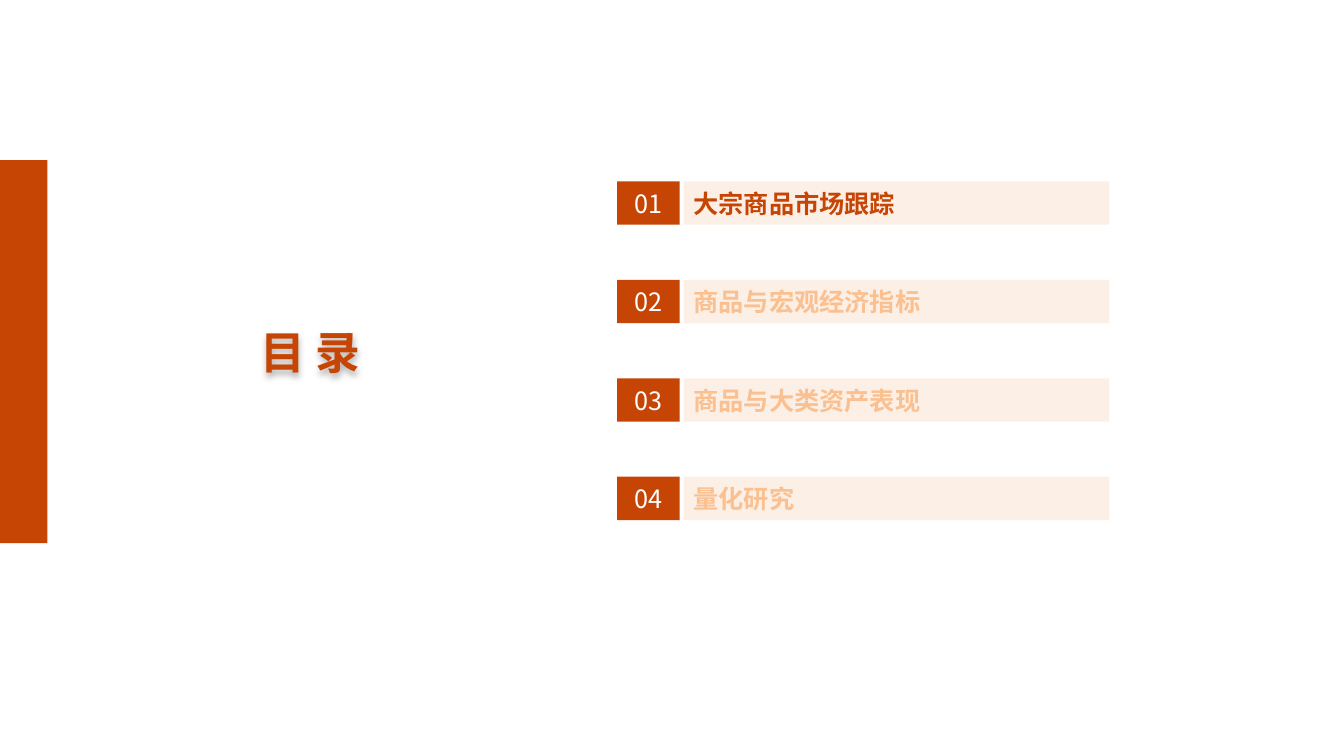
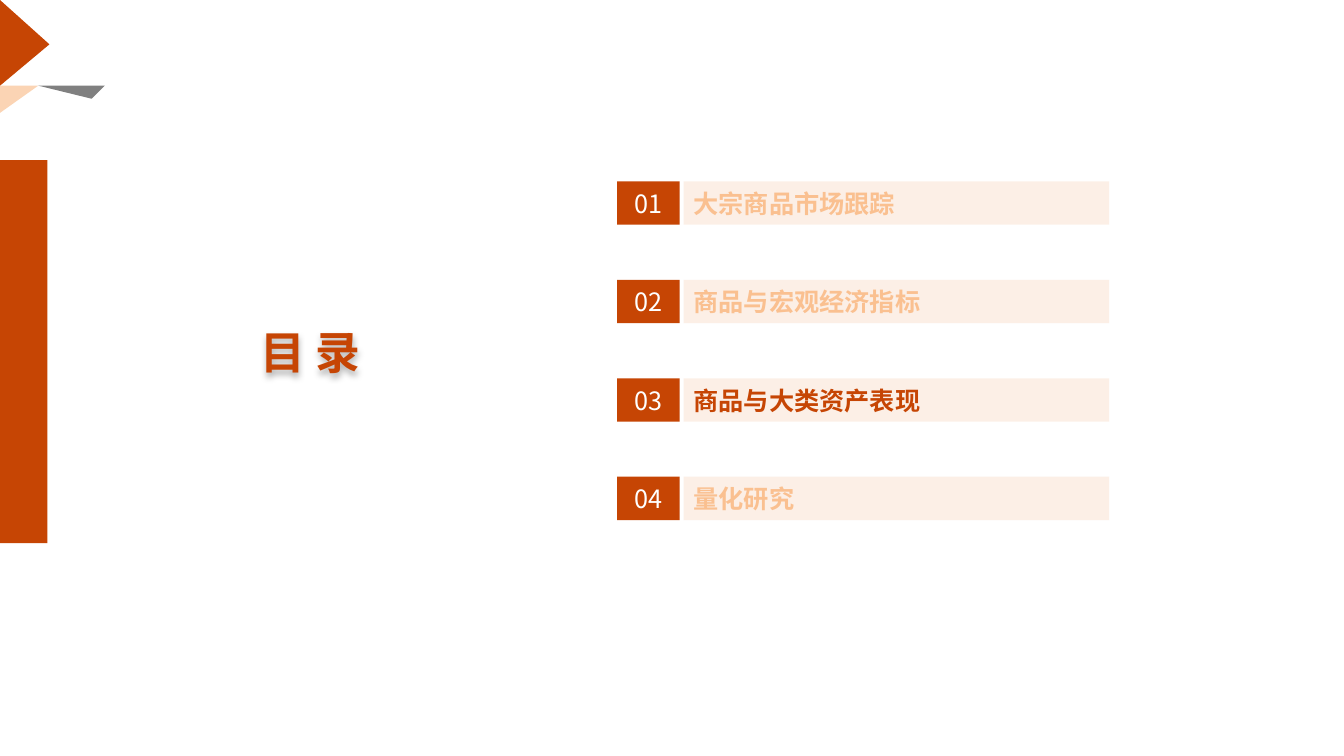
from lxml import etree
from pptx import Presentation
from pptx.dml.color import RGBColor
from pptx.enum.shapes import MSO_SHAPE
from pptx.enum.text import MSO_ANCHOR, PP_ALIGN
from pptx.oxml.ns import qn
from pptx.util import Inches, Pt

RECTANGLE = MSO_SHAPE.RECTANGLE
MIDDLE = MSO_ANCHOR.MIDDLE
LEFT, CENTER = PP_ALIGN.LEFT, PP_ALIGN.CENTER

FONT = "Noto Sans CJK SC"
ORANGE = "C64504"
PEACH = "FAC090"
CREAM = "FBE5D6"
GRAY = "808080"
WHITE = "FFFFFF"

CHAPTERS = ["大宗商品市场跟踪", "商品与宏观经济指标", "商品与大类资产表现", "量化研究"]
SIDE_BAND = (0, 1.59, 0.47, 3.8)
TITLE_BOX = (2.22, 3.15, 1.72, 0.67)
CONTENTS_BOX = (6.12, 1.8, 4.88, 3.36)
ROW_HEIGHT = 0.43
NUMBER_WIDTH = 0.62
NUMBER_GAP = 0.04


def rgb(color):
    return RGBColor.from_string(color)


def paint(shape, color, opacity=100):
    shape.shadow.inherit = False
    shape.line.fill.background()
    shape.fill.solid()
    shape.fill.fore_color.rgb = rgb(color)
    if opacity < 100:
        tint = shape.element.spPr.find(".//" + qn("a:srgbClr"))
        etree.SubElement(tint, qn("a:alpha"), val=str(opacity * 1000))


def write(shape, text, *, size=18, color=WHITE, bold=False, align=LEFT, after=0):
    frame = shape.text_frame
    frame.word_wrap = True
    frame.vertical_anchor = MIDDLE
    para = frame.paragraphs[0]
    para.alignment = align
    para.space_after = Pt(after)
    span = para.add_run()
    span.text = text
    span.font.size = Pt(size)
    span.font.bold = bold
    span.font.color.rgb = rgb(color)
    span.font.name = FONT
    for latin in shape.element.iter(qn("a:latin")):
        latin.addnext(latin.makeelement(qn("a:ea"), {"typeface": FONT}))


def add_band(shapes, box, color, opacity=100):
    band = shapes.add_shape(RECTANGLE, *map(Inches, box))
    paint(band, color, opacity)
    return band


def add_soft_shadow(shape):
    effects = etree.SubElement(shape.element.spPr, qn("a:effectLst"))
    shadow = etree.SubElement(
        effects, qn("a:outerShdw"), blurRad=str(Pt(5)), dist=str(Pt(3)),
        dir="5400000", algn="t", rotWithShape="0")
    tint = etree.SubElement(shadow, qn("a:srgbClr"), val="000000")
    etree.SubElement(tint, qn("a:alpha"), val="30000")


def add_title(page, box):
    title = page.shapes.add_textbox(*map(Inches, box))
    write(title, "目 录", size=32, color=ORANGE, bold=True, align=CENTER, after=6)
    add_soft_shadow(title)


def add_row(page, box, number, chapter, active):
    left, top, width, height = box
    row = page.shapes.add_group_shape()
    badge = add_band(row.shapes, (left, top, NUMBER_WIDTH, height), ORANGE)
    write(badge, f"{number:02d}", align=CENTER)
    offset = NUMBER_WIDTH + NUMBER_GAP
    label = add_band(row.shapes, (left + offset, top, width - offset, height), CREAM, 59)
    write(label, chapter, color=ORANGE if active else PEACH, bold=True)


def add_contents(page, box, current):
    left, top, width, height = box
    pitch = (height - ROW_HEIGHT) / (len(CHAPTERS) - 1)
    for index, chapter in enumerate(CHAPTERS):
        row_box = (left, top + index * pitch, width, ROW_HEIGHT)
        add_row(page, row_box, index + 1, chapter, index + 1 == current)


def add_corner(page, left, top):
    corner = page.shapes.add_group_shape()
    facets = [
        ([(0.49, 0.44), (0, 0), (0, 0.85)], ORANGE, 100),
        ([(0, 1.12), (0.38, 0.85), (0, 0.85)], PEACH, 67),
        ([(1.04, 0.85), (0.91, 0.98), (0.38, 0.85)], GRAY, 100),
    ]
    for points, color, opacity in facets:
        start, *rest = [(Inches(left + x), Inches(top + y)) for x, y in points]
        builder = corner.shapes.build_freeform(*start)
        builder.add_line_segments(rest, close=True)
        paint(builder.convert_to_shape(), color, opacity)


def add_contents_page(deck, current, with_corner=False):
    page = deck.slides.add_slide(deck.slide_layouts[6])
    if with_corner:
        add_corner(page, 0, 0)
    add_band(page.shapes, SIDE_BAND, ORANGE)
    add_title(page, TITLE_BOX)
    add_contents(page, CONTENTS_BOX, current)


def main():
    deck = Presentation()
    deck.slide_width = Inches(13.33)
    deck.slide_height = Inches(7.5)
    add_contents_page(deck, current=1)
    add_contents_page(deck, current=3, with_corner=True)
    deck.save("out.pptx")


if __name__ == "__main__":
    main()
